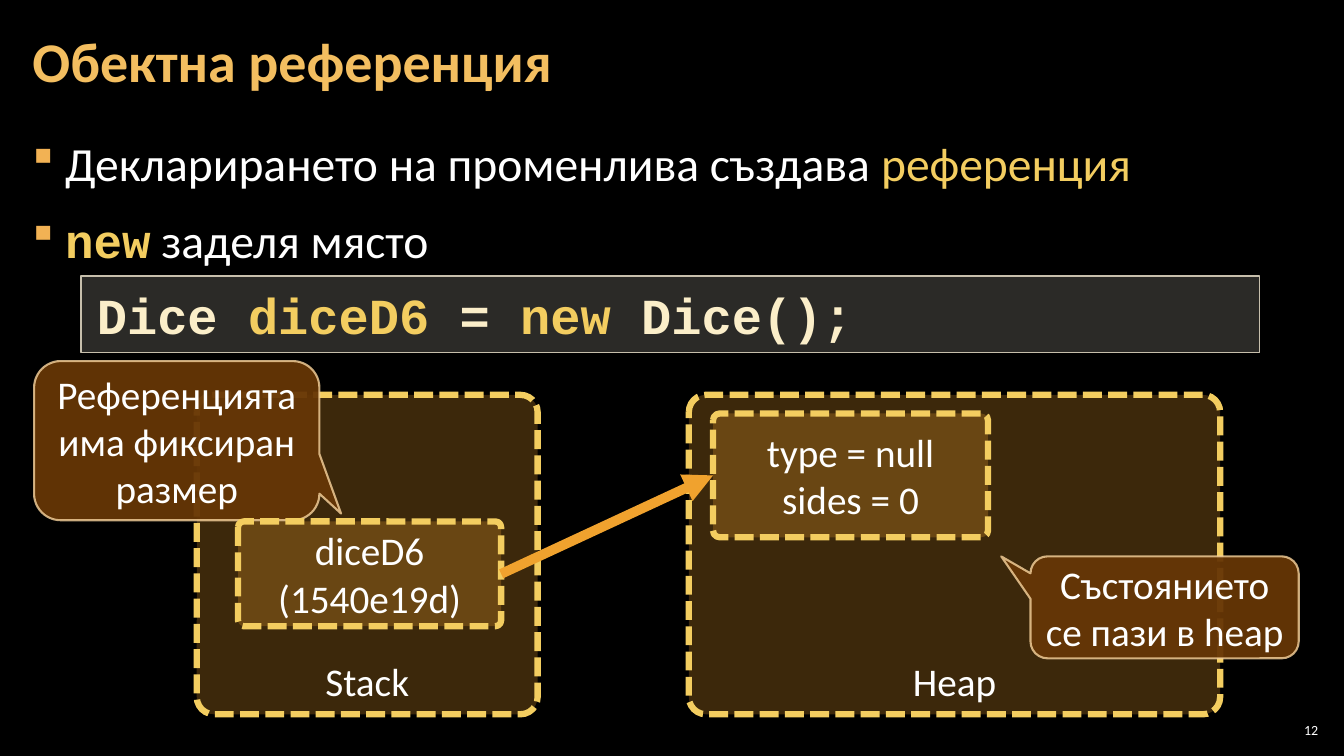
import pptx
import pptx.util
import pptx.dml.color
import pptx.enum.dml
import pptx.enum.shapes
import pptx.enum.text
import pptx.oxml
import pptx.oxml.ns
from dataclasses import dataclass
from lxml import etree

Cm, Pt = pptx.util.Cm, pptx.util.Pt
RGB = pptx.dml.color.RGBColor.from_string
SHAPE = pptx.enum.shapes.MSO_SHAPE
ANCHOR = pptx.enum.text.MSO_ANCHOR
ALIGN = pptx.enum.text.PP_ALIGN
DASH = pptx.enum.dml.MSO_LINE
qn = pptx.oxml.ns.qn


@dataclass(frozen=True)
class Theme:
    background: str = "000000"
    text: str = "FFFFFF"
    title: str = "F3BE60"
    bullet: str = "F2B254"
    highlight: str = "F3CD60"
    memory: str = "F0A22E"
    callout: str = "663606"
    callout_line: str = "F8D49E"
    code: str = "FBEEC9"
    code_fill: str = "D9D5C7"
    code_line: str = "C7BFAC"
    font: str = "Calibri"
    code_font: str = "Courier New"
    bullet_font: str = "Wingdings"
    title_size: int = 40
    body_size: int = 34
    code_size: int = 36
    label_size: int = 28
    number_size: int = 10


theme = Theme()


def write(shape, paragraphs, size, anchor, align, margins=(0.25, 0.13)):
    """Fill a shape with paragraphs, each a list of (text, colour, font, bold)."""
    frame = shape.text_frame
    frame.word_wrap = True
    frame.vertical_anchor = anchor
    frame.margin_left = frame.margin_right = Cm(margins[0])
    frame.margin_top = frame.margin_bottom = Cm(margins[1])
    for index, pieces in enumerate(paragraphs):
        paragraph = frame.add_paragraph() if index else frame.paragraphs[0]
        paragraph.alignment = align
        for text, colour, font, bold in pieces:
            run = paragraph.add_run()
            run.text = text
            run.font.size = Pt(size)
            run.font.name = font
            run.font.bold = bold
            run.font.color.rgb = RGB(colour)


def add_panel(kind, box, adjustments, fill, opacity, line, width):
    """Add a preset shape with a translucent fill; opacity is in percent."""
    shape = slide.shapes.add_shape(kind, *map(Cm, box))
    shape.shadow.inherit = False
    for index, value in enumerate(adjustments):
        shape.adjustments[index] = value
    shape.fill.solid()
    shape.fill.fore_color.rgb = RGB(fill)
    colour = shape.fill._xPr.find(qn("a:solidFill"))[0]
    etree.SubElement(colour, qn("a:alpha"), val=str(opacity * 1000))
    shape.line.color.rgb = RGB(line)
    shape.line.width = Pt(width)
    return shape


presentation = pptx.Presentation()
presentation.slide_width = Cm(33.87)
presentation.slide_height = Cm(19.05)
slide = presentation.slides.add_slide(presentation.slide_layouts[6])
slide.background.fill.solid()
slide.background.fill.fore_color.rgb = RGB(theme.background)

# Title, bullets and slide number
title = slide.shapes.add_textbox(Cm(0.52), Cm(0.1), Cm(26.59), Cm(3.07))
write(title, [[("Обектна референция", theme.title, theme.font, True)]],
      theme.title_size, ANCHOR.MIDDLE, ALIGN.LEFT, (0.3, 0.1))
title.text_frame.paragraphs[0].line_spacing = 0.9

body = slide.shapes.add_textbox(Cm(0.52), Cm(3.2), Cm(32.79), Cm(15.47))
bullets = [
    [("Деклариранeто".replace("e", "е") + " на променлива създава ",
      theme.text, theme.font, False),
     ("референция", theme.highlight, theme.font, False)],
    [("new", theme.highlight, theme.code_font, True),
     (" заделя място", theme.text, theme.font, False)],
]
write(body, bullets, theme.body_size, ANCHOR.TOP, ALIGN.LEFT, (0.3, 0.1))
for paragraph in body.text_frame.paragraphs:
    paragraph.line_spacing = 1.05
    paragraph.space_before = paragraph.space_after = Pt(6)
    properties = paragraph._p.get_or_add_pPr()
    properties.set("marL", str(Cm(0.82)))
    properties.set("indent", str(-Cm(0.82)))
    bullet_colour = etree.SubElement(properties, qn("a:buClr"))
    etree.SubElement(bullet_colour, qn("a:srgbClr"), val=theme.bullet)
    etree.SubElement(properties, qn("a:buFont"), typeface=theme.bullet_font, charset="2")
    etree.SubElement(properties, qn("a:buChar"), char="§")

number = slide.shapes.add_textbox(Cm(32.13), Cm(18.14), Cm(1.19), Cm(0.53))
write(number, [[("12", theme.text, theme.font, False)]],
      theme.number_size, ANCHOR.MIDDLE, ALIGN.RIGHT, (0.1, 0.1))

# Code line
code = add_panel(SHAPE.RECTANGLE, (2.04, 6.96, 29.71, 1.93), (),
                 theme.code_fill, 20, theme.code_line, 1)
tokens = [("Dice ", theme.code), ("diceD6", theme.highlight), (" = ", theme.code),
          ("new", theme.highlight), (" Dice();", theme.code)]
write(code, [[(text, colour, theme.code_font, True) for text, colour in tokens]],
      theme.code_size, ANCHOR.TOP, ALIGN.LEFT, (0.4, 0.2))

# Memory diagram, back to front: part, box, callout tail, anchor, lines
diagram = [
    ("stack", (4.96, 9.95, 8.59, 8.05), None, ANCHOR.BOTTOM, ["Stack"]),
    ("reference note", (0.86, 9.1, 7.19, 4.01), (0.576, 0.458), ANCHOR.MIDDLE,
     ["Референцията има фиксиран размер"]),
    ("reference", (6, 13.14, 6.63, 2.64), None, ANCHOR.MIDDLE,
     ["diceD6", "(1540e19d)"]),
    ("heap", (17.36, 9.95, 13.39, 8.05), None, ANCHOR.BOTTOM, ["Heap"]),
    ("object", (17.97, 10.42, 6.93, 3.12), None, ANCHOR.MIDDLE,
     ["type = null\vsides = 0"]),
    ("state note", (25.97, 14.02, 6.76, 2.57), (-0.609, -0.499), ANCHOR.MIDDLE,
     ["Състоянието се пази в heap"]),
]
parts = {}
for part, box, tail, anchor, lines in diagram:
    if tail:
        shape = add_panel(SHAPE.ROUNDED_RECTANGULAR_CALLOUT, box, (*tail, 0.167),
                          theme.callout, 95, theme.callout_line, 1.5)
        line_colour = shape.line.fill._xPr.find(qn("a:solidFill"))[0]
        etree.SubElement(line_colour, qn("a:alpha"), val="80000")
    else:
        shape = add_panel(SHAPE.ROUNDED_RECTANGLE, box, (0.054,),
                          theme.memory, 25, theme.highlight, 4.5)
        shape.line.dash_style = DASH.SQUARE_DOT
    paragraphs = [[(line, theme.text, theme.font, False)] for line in lines]
    if part == "object":
        paragraphs = [[(line, theme.text, theme.font, False)]
                      for line in lines[0].split("\v")]
    write(shape, paragraphs, theme.label_size, anchor, ALIGN.CENTER)
    parts[part] = shape

# Arrow from the reference to the object
arrow = slide.shapes.add_connector(pptx.enum.shapes.MSO_CONNECTOR.STRAIGHT,
                                   Cm(12.63), Cm(14.46), Cm(17.97), Cm(11.98))
arrow.begin_connect(parts["reference"], 3)
arrow.end_connect(parts["object"], 1)
arrow.line.color.rgb = RGB(theme.memory)
arrow.line.width = Pt(7)
etree.SubElement(arrow.line._get_or_add_ln(), qn("a:tailEnd"), type="triangle")
etree.SubElement(arrow._element.spPr, qn("a:effectLst"))

presentation.save("out.pptx")
